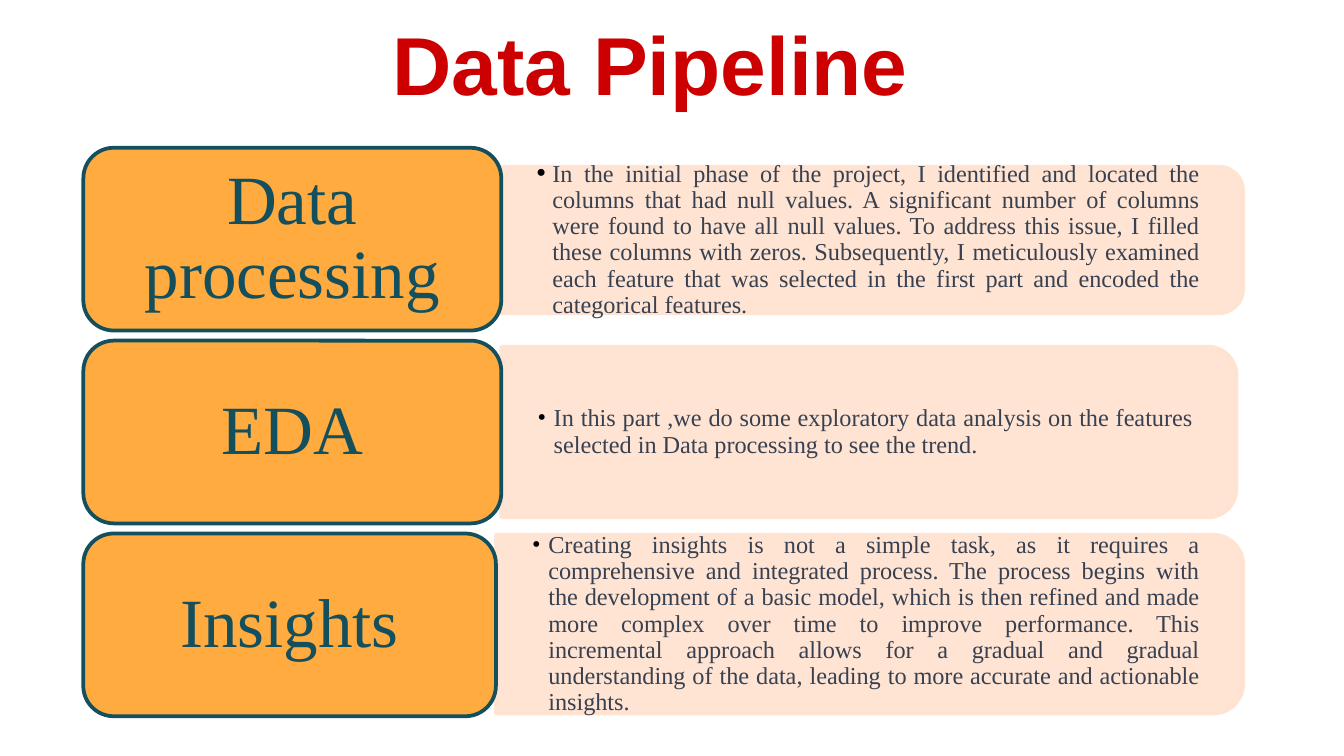
"""Build the Data Pipeline slide: three labelled stages with their notes."""
from lxml.etree import SubElement
from pptx import Presentation
from pptx.dml.color import RGBColor as RGB
from pptx.enum.shapes import MSO_SHAPE as SHAPE
from pptx.enum.text import MSO_ANCHOR as ANCHOR, PP_ALIGN as ALIGN
from pptx.oxml.ns import qn
from pptx.util import Inches, Pt

COLORS = {"title": "CC0000", "panel": "FFE2CF", "label": "FFAB40",
          "edge": "134F5C", "note": "374151", "bullet": "000000"}
SERIF = "Times New Roman"
STAGES = [
    ("Data processing", 3.11, (3.72, 1.24, 5.53, 1.09), 120,
     "In the initial phase of the project, I identified and located the columns "
     "that had null values. A significant number of columns were found to have "
     "all null values. To address this issue, I filled these columns with zeros. "
     "Subsequently, I meticulously examined each feature that was selected in "
     "the first part and encoded the categorical features."),
    ("EDA", 3.11, (3.73, 2.58, 5.47, 1.27), 100,
     "In this part ,we do some exploratory data analysis on the features "
     "selected in Data processing to see the trend."),
    ("Insights", 3.07, (3.69, 3.98, 5.56, 1.33), 100,
     "Creating insights is not a simple task, as it requires a comprehensive and "
     "integrated process. The process begins with the development of a basic "
     "model, which is then refined and made more complex over time to improve "
     "performance. This incremental approach allows for a gradual and gradual "
     "understanding of the data, leading to more accurate and actionable insights."),
]


def paint(shape, fill, line):
    shape.shadow.inherit = False
    shape.fill.solid()
    shape.fill.fore_color.rgb = RGB.from_string(COLORS[fill])
    shape.line.color.rgb = RGB.from_string(COLORS[line])
    shape.line.width = Pt(2)


def write(frame, text, size, font, color, align, pads):
    frame.text = text
    frame.word_wrap = True
    frame.vertical_anchor = ANCHOR.MIDDLE
    frame.margin_left = frame.margin_right = Inches(pads[0])
    frame.margin_top = frame.margin_bottom = Inches(pads[1])
    para = frame.paragraphs[0]
    para.alignment = align
    para.line_spacing = 0.9
    style = para.runs[0].font
    style.size, style.name = Pt(size), font
    style.color.rgb = RGB.from_string(COLORS[color])
    return para


prs = Presentation()
prs.slide_width = Inches(10)
prs.slide_height = prs.slide_width * 9 // 16
slide = prs.slides.add_slide(prs.slide_layouts[5])
shapes = slide.shapes

title = shapes.title
title.left, title.top = Inches(0.44), Inches(0)
title.width, title.height = Inches(9.32), Inches(0.87)
frame = title.text_frame
para = write(frame, "Data Pipeline", 44, "Arial", "title", ALIGN.LEFT, (0.1, 0.1))
para.line_spacing = 1.0
para.runs[0].font.bold = True
frame.vertical_anchor = ANCHOR.TOP
frame.margin_left = Inches(2.48)

for row, (name, span, box, scale, note) in enumerate(STAGES):
    left, top, width, height = box
    panel = shapes.add_shape(
        SHAPE.ROUND_2_SAME_RECTANGLE,
        Inches(left + (width - height) / 2), Inches(top + (height - width) / 2),
        Inches(height), Inches(width))
    panel.rotation = 90
    paint(panel, "panel", "panel")
    for tint in panel.element.spPr.iter(qn("a:srgbClr")):
        SubElement(tint, qn("a:alpha"), val="90000")

    text = shapes.add_textbox(Inches(left), Inches(top + 0.06),
                              Inches(width - 0.06), Inches(height - 0.12))
    para = write(text.text_frame, note, 13, SERIF, "note", ALIGN.JUSTIFY, (0.27, 0.14))
    props = para._p.get_or_add_pPr()
    props.set("marL", str(Inches(0.12)))
    props.set("indent", str(Inches(-0.12)))
    tone = SubElement(props, qn("a:buClr"))
    SubElement(tone, qn("a:srgbClr"), val=COLORS["bullet"])
    SubElement(props, qn("a:buSzPct"), val=str(scale * 1000))
    SubElement(props, qn("a:buFont"), typeface=SERIF)
    SubElement(props, qn("a:buChar"), char="•")

    label = shapes.add_shape(SHAPE.ROUNDED_RECTANGLE, Inches(0.62),
                             Inches(1.1 + 1.435 * row), Inches(span), Inches(1.36))
    paint(label, "label", "edge")
    write(label.text_frame, name, 37, SERIF, "edge", ALIGN.CENTER, (0.15, 0.08))

prs.save("out.pptx")
